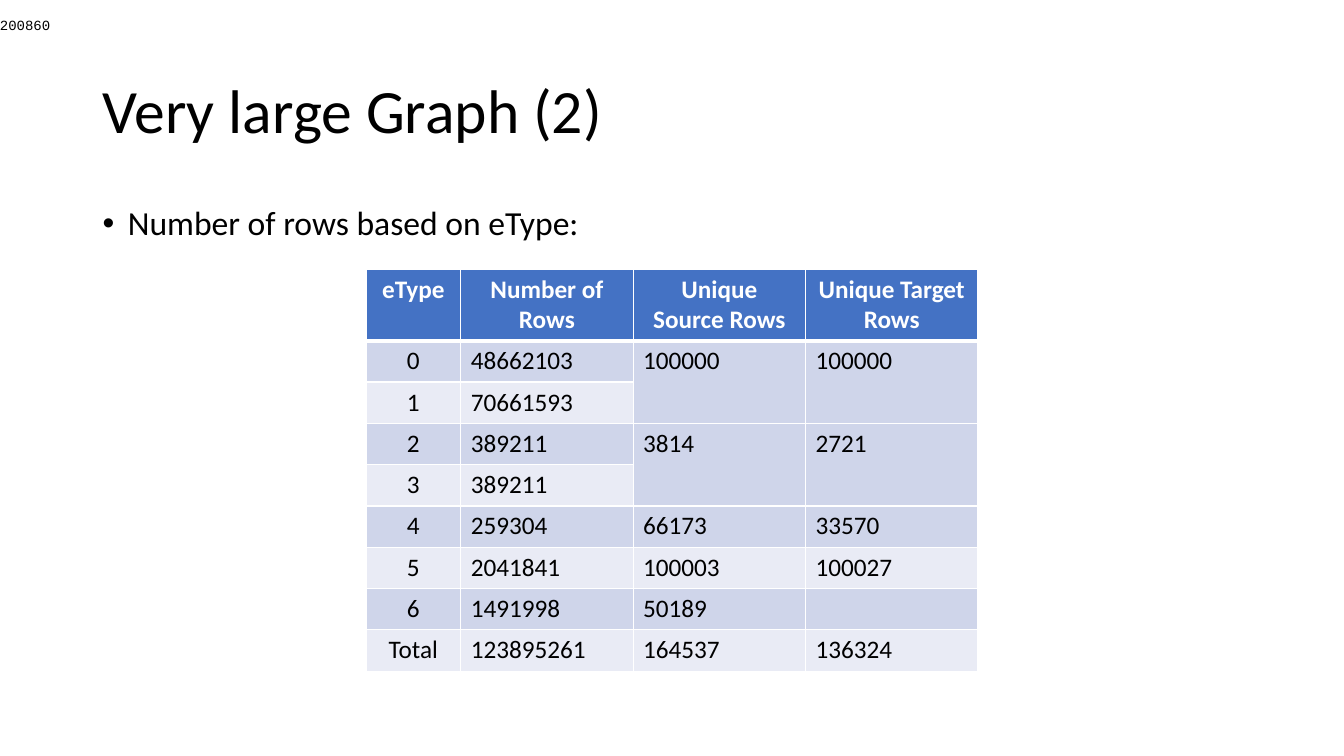
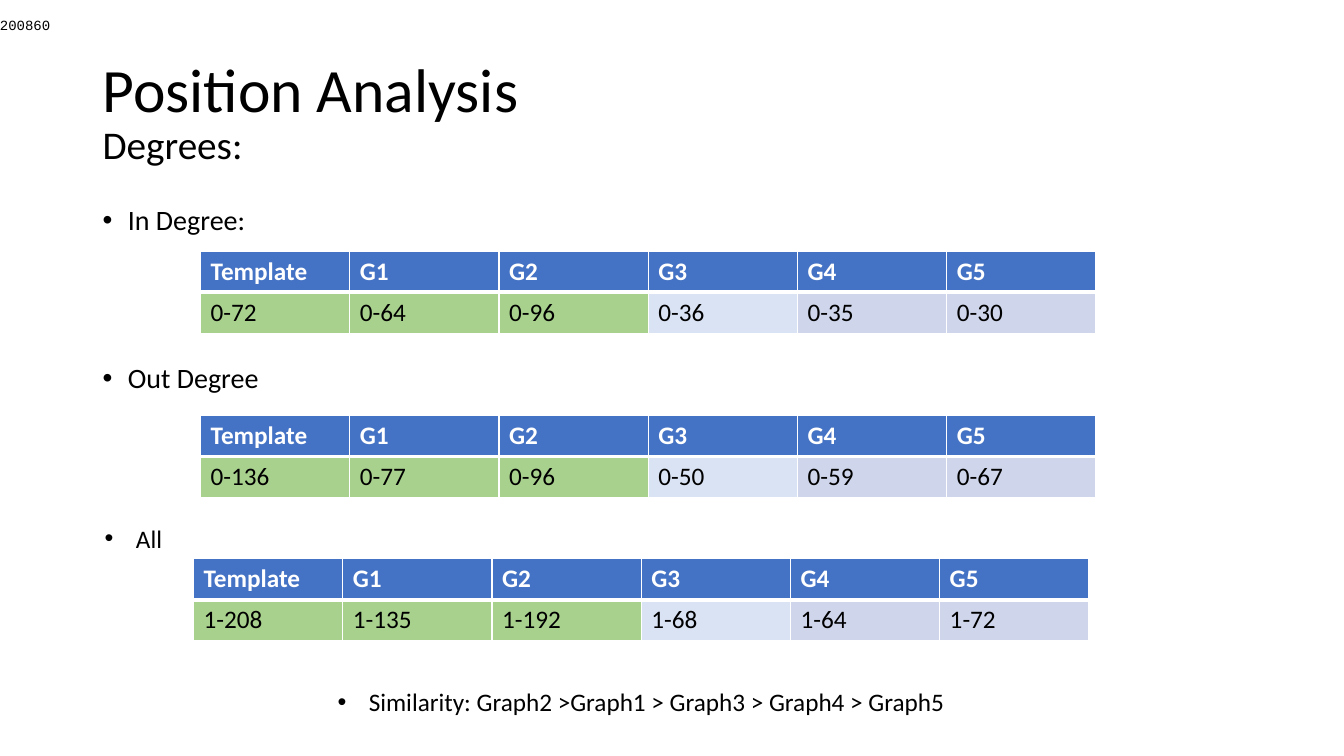
from dataclasses import dataclass

from lxml.etree import SubElement
from pptx import Presentation
from pptx.dml.color import RGBColor as RGB
from pptx.enum.shapes import MSO_SHAPE as SHAPE
from pptx.enum.text import MSO_ANCHOR as ANCHOR, PP_ALIGN as ALIGN
from pptx.oxml.ns import qn
from pptx.util import Inches, Pt


@dataclass(frozen=True)
class Theme:
    font: str = "Calibri"
    mono: str = "Courier New"
    ink: str = "000000"
    paper: str = "FFFFFF"
    header: str = "4472C4"
    band_dark: str = "CFD5EA"
    band_light: str = "E9EBF5"
    match: str = "A9D18E"
    near: str = "DAE3F3"
    title: int = 44
    subtitle: int = 28
    lead: int = 24
    body: int = 20
    small: int = 18
    stamp: int = 10


THEME = Theme()
ROW_HEIGHT = 0.41


def write(p, text, size=THEME.small, color=THEME.ink, bold=False, font=THEME.font,
          align=ALIGN.LEFT, spacing=1.0, before=0, indent=0):
    """Fill a paragraph; a positive indent gives it a hanging bullet."""
    p.alignment, p.line_spacing, p.space_before = align, spacing, Pt(before)
    r = p.add_run()
    r.text = text
    r.font.name, r.font.size, r.font.bold = font, Pt(size), bold
    r.font.color.rgb = RGB.from_string(color)
    if indent:
        pPr = p._p.get_or_add_pPr()
        pPr.set("marL", str(Inches(indent)))
        pPr.set("indent", str(-Inches(indent)))
        SubElement(pPr, qn("a:buFont")).set("typeface", "Arial")
        SubElement(pPr, qn("a:buChar")).set("char", "•")


def set_borders(cell, top=1, bottom=1):
    tcPr = cell._tc.get_or_add_tcPr()
    for side, width in (("L", 1), ("R", 1), ("T", top), ("B", bottom)):
        ln = SubElement(tcPr, qn(f"a:ln{side}"))
        ln.set("w", str(Pt(width)))
        fill = SubElement(ln, qn("a:solidFill"))
        SubElement(fill, qn("a:srgbClr")).set("val", THEME.paper)


def band_color(row, col):
    return THEME.band_dark if row % 2 else THEME.band_light


def similarity_color(row, col):
    """Green for the template and its matches, pale blue for the nearest other graph."""
    if col < 3:
        return THEME.match
    return THEME.near if col == 3 else THEME.band_dark


class Deck:
    def __init__(self):
        self.prs = Presentation()
        self.prs.slide_width, self.prs.slide_height = Inches(13.33), Inches(7.5)
        self.slide = None

    def new_slide(self, *title):
        """Start a slide with its stamp; title lines are (text, size) pairs."""
        self.slide = self.prs.slides.add_slide(self.prs.slide_layouts[6])
        self.stamp("200860")
        self.text(0.92, 0.4, 11.5, 1.45,
                  [(line, dict(size=size, spacing=0.9)) for line, size in title],
                  anchor=ANCHOR.MIDDLE)

    def stamp(self, text):
        sp = self.slide.shapes.add_shape(SHAPE.RECTANGLE, 0, 0, Inches(13.33), Inches(0.5))
        sp.shadow.inherit = False
        sp.fill.solid()
        sp.fill.fore_color.rgb = RGB.from_string(THEME.paper)
        sp.line.fill.background()
        tf = sp.text_frame
        tf.vertical_anchor = ANCHOR.MIDDLE
        tf.margin_left = tf.margin_right = tf.margin_top = tf.margin_bottom = 0
        write(tf.paragraphs[0], text, size=THEME.stamp, font=THEME.mono)

    def text(self, x, y, w, h, lines, anchor=ANCHOR.TOP):
        """Add a text box of (text, format) lines."""
        sp = self.slide.shapes.add_textbox(Inches(x), Inches(y), Inches(w), Inches(h))
        tf = sp.text_frame
        tf.word_wrap, tf.vertical_anchor = True, anchor
        for i, (line, style) in enumerate(lines):
            p = tf.add_paragraph() if i else tf.paragraphs[0]
            write(p, line, **style)

    def body(self, lines, size, gap=10):
        style = dict(size=size, spacing=0.9, before=gap, indent=0.25)
        self.text(0.92, 2, 11.5, 4.76, [(line, style) for line in lines])

    def note(self, x, y, w, text):
        self.text(x, y, w, 0.4, [(text, dict(indent=0.31))])

    def table(self, x, y, widths, rows, color, header_height=ROW_HEIGHT,
              centered=False, merges=()):
        """Add a table; color(row, col) fills the cells below the header."""
        heights = [header_height] + [ROW_HEIGHT] * (len(rows) - 1)
        table = self.slide.shapes.add_table(
            len(rows), len(widths), Inches(x), Inches(y),
            Inches(sum(widths)), Inches(sum(heights))).table
        table.horz_banding = False
        for column, width in zip(table.columns, widths):
            column.width = Inches(width)
        for i, values in enumerate(rows):
            table.rows[i].height = Inches(heights[i])
            head = i == 0
            for j, value in enumerate(values):
                cell = table.cell(i, j)
                set_borders(cell, top=3 if i == 1 else 1, bottom=3 if head else 1)
                cell.fill.solid()
                cell.fill.fore_color.rgb = RGB.from_string(
                    THEME.header if head else color(i, j))
                middle = centered and (head or j == 0)
                write(cell.text_frame.paragraphs[0], value, bold=head,
                      color=THEME.paper if head else THEME.ink,
                      align=ALIGN.CENTER if middle else ALIGN.LEFT)
        for first, last, col in merges:
            table.cell(first, col).merge(table.cell(last, col))


ETYPE_ROWS = [
    ("eType", "Number of Rows", "Unique Source Rows", "Unique Target Rows"),
    ("0", "48662103", "100000", "100000"),
    ("1", "70661593", "", ""),
    ("2", "389211", "3814", "2721"),
    ("3", "389211", "", ""),
    ("4", "259304", "66173", "33570"),
    ("5", "2041841", "100003", "100027"),
    ("6", "1491998", "50189", ""),
    ("Total", "123895261", "164537", "136324"),
]
GRAPHS = ("Template", "G1", "G2", "G3", "G4", "G5")
DEGREE_TABLES = [
    (1.99, 2.49, ("0-72", "0-64", "0-96", "0-36", "0-35", "0-30")),
    (1.99, 4.12, ("0-136", "0-77", "0-96", "0-50", "0-59", "0-67")),
    (1.92, 5.54, ("1-208", "1-135", "1-192", "1-68", "1-64", "1-72")),
]


def main():
    deck = Deck()

    deck.new_slide(("Very large Graph (2)", THEME.title))
    deck.body(["Number of rows based on eType:"], THEME.lead)
    deck.table(3.63, 2.67, [0.94] + [1.71] * 3, ETYPE_ROWS, band_color,
               header_height=0.71, centered=True,
               merges=[(row, row + 1, col) for row in (1, 3) for col in (2, 3)])

    deck.new_slide(("Position Analysis", THEME.title), ("Degrees:", THEME.subtitle))
    deck.body(["In Degree:", "Out Degree"], THEME.body, gap=91)
    for x, y, degrees in DEGREE_TABLES:
        deck.table(x, y, [1.48] * len(GRAPHS), [GRAPHS, degrees], similarity_color)
    deck.note(0.94, 5.14, 2.08, "All")
    deck.note(3.25, 6.76, 6.5, "Similarity: Graph2 >Graph1 > Graph3 > Graph4 > Graph5")

    deck.prs.save("out.pptx")


if __name__ == "__main__":
    main()
